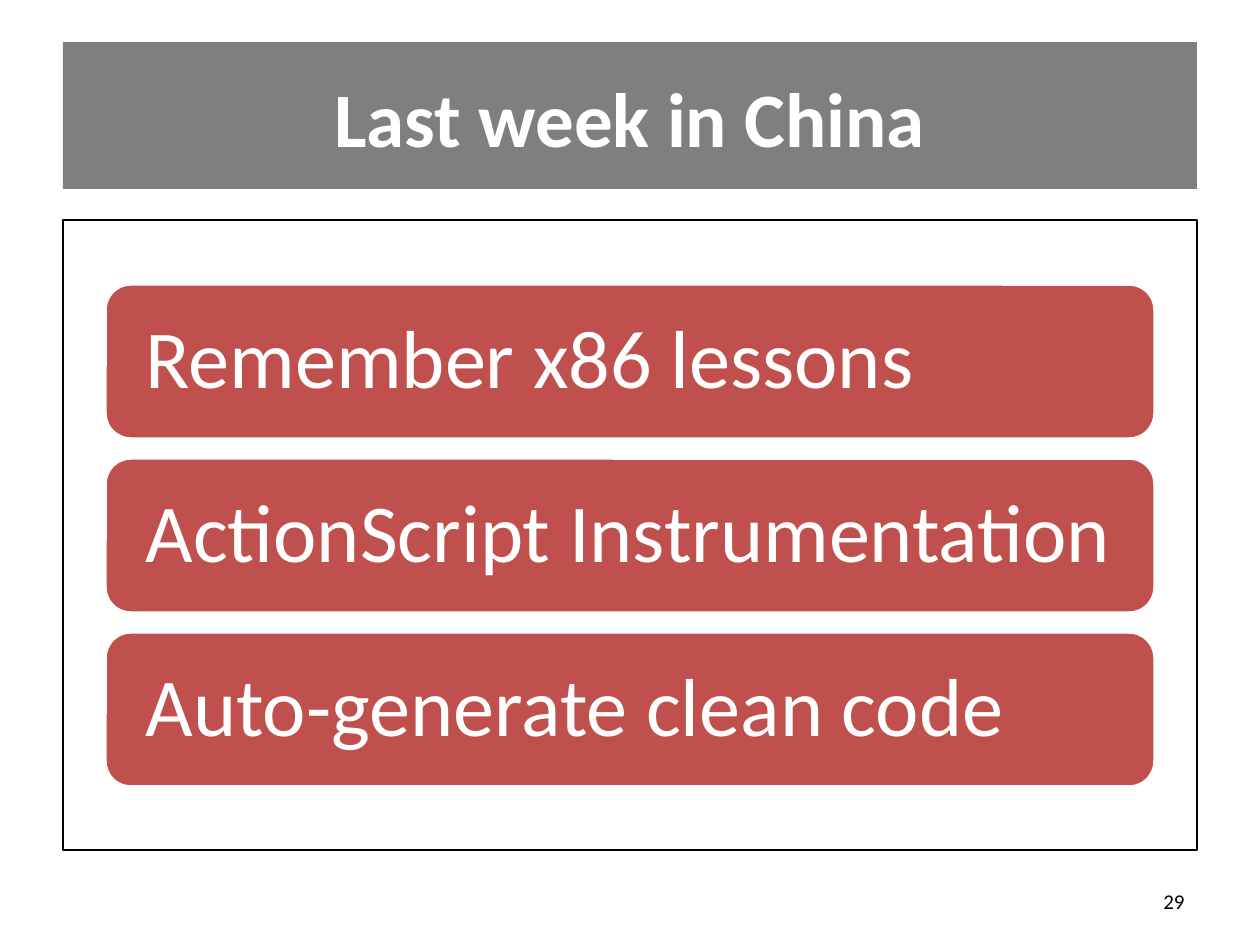
from dataclasses import dataclass

from lxml.etree import SubElement
from pptx import Presentation
from pptx.dml.color import RGBColor
from pptx.enum.shapes import MSO_SHAPE as Shape
from pptx.enum.text import MSO_ANCHOR as Anchor, PP_ALIGN as Align
from pptx.oxml.ns import qn
from pptx.util import Emu, Pt

EMU_PER_PX = 914400 / 126
TITLE_ONLY = 5


def px(length):
    return Emu(round(length * EMU_PER_PX))


@dataclass(frozen=True)
class Theme:
    font: str = "Calibri"
    black: RGBColor = RGBColor(0, 0, 0)
    white: RGBColor = RGBColor(255, 255, 255)
    red: RGBColor = RGBColor(0xC0, 0x50, 0x4D)
    title_size: int = 44
    bar_size: int = 47
    number_size: int = 12


class SlideBuilder:
    def __init__(self, slide, theme):
        self.slide = slide
        self.theme = theme

    def set_text(self, shape, text, size, color, align, bold=False, inset=None):
        frame = shape.text_frame
        frame.word_wrap = True
        frame.vertical_anchor = Anchor.MIDDLE
        if inset is not None:
            frame.margin_left = frame.margin_right = px(inset)
            frame.margin_top = frame.margin_bottom = px(inset)
        frame.text = text
        paragraph = frame.paragraphs[0]
        paragraph.alignment = align
        font = paragraph.font
        font.name, font.size, font.bold = self.theme.font, Pt(size), bold
        font.color.rgb = color
        return paragraph

    def box(self, kind, left, top, width, height, fill=None, opacity=100,
            line=None, line_width=1):
        shape = self.slide.shapes.add_shape(
            kind, px(left), px(top), px(width), px(height))
        shape.shadow.inherit = False
        if fill is None:
            shape.fill.background()
        else:
            shape.fill.solid()
            shape.fill.fore_color.rgb = fill
            if opacity < 100:
                color = shape.element.spPr.find(qn("a:solidFill"))[0]
                SubElement(color, qn("a:alpha"), val=str(opacity * 1000))
        if line is None:
            shape.line.fill.background()
        else:
            shape.line.color.rgb = line
            shape.line.width = Pt(line_width)
        return shape

    def title(self, text, left, top, width, height):
        title = self.slide.shapes.title
        title.left, title.top = px(left), px(top)
        title.width, title.height = px(width), px(height)
        self.set_text(title, text, self.theme.title_size, self.theme.white,
                      Align.CENTER, bold=True)
        # Bring the title in front of its band
        title.element.getparent().append(title.element)

    def bar(self, text, left, top, width, height):
        theme = self.theme
        shape = self.box(Shape.ROUNDED_RECTANGLE, left, top, width, height,
                         fill=theme.red, line=theme.white, line_width=2)
        paragraph = self.set_text(shape, text, theme.bar_size, theme.white,
                                  Align.LEFT, inset=33)
        paragraph.line_spacing = 0.9

    def page_number(self, text, left, top, width, height):
        shape = self.slide.shapes.add_textbox(
            px(left), px(top), px(width), px(height))
        self.set_text(shape, text, self.theme.number_size, self.theme.black,
                      Align.RIGHT)


def main():
    presentation = Presentation()
    presentation.slide_width, presentation.slide_height = px(1260), px(945)
    slide = presentation.slides.add_slide(
        presentation.slide_layouts[TITLE_ONLY])
    theme = Theme()
    builder = SlideBuilder(slide, theme)

    # Title band and content frame
    builder.box(Shape.RECTANGLE, 63, 42, 1134, 147,
                fill=theme.black, opacity=50)
    builder.box(Shape.RECTANGLE, 63, 220, 1134, 630, line=theme.black)
    builder.title("Last week in China", 63, 38, 1134, 157)

    # Page number
    builder.page_number("29", 903, 876, 294, 50)

    # Stacked topic bars
    topics = ("Remember x86 lessons", "ActionScript Instrumentation",
              "Auto-generate clean code")
    for row, topic in enumerate(topics):
        builder.bar(topic, 105, 284 + row * 174, 1050, 155)

    presentation.save("out.pptx")


if __name__ == "__main__":
    main()
